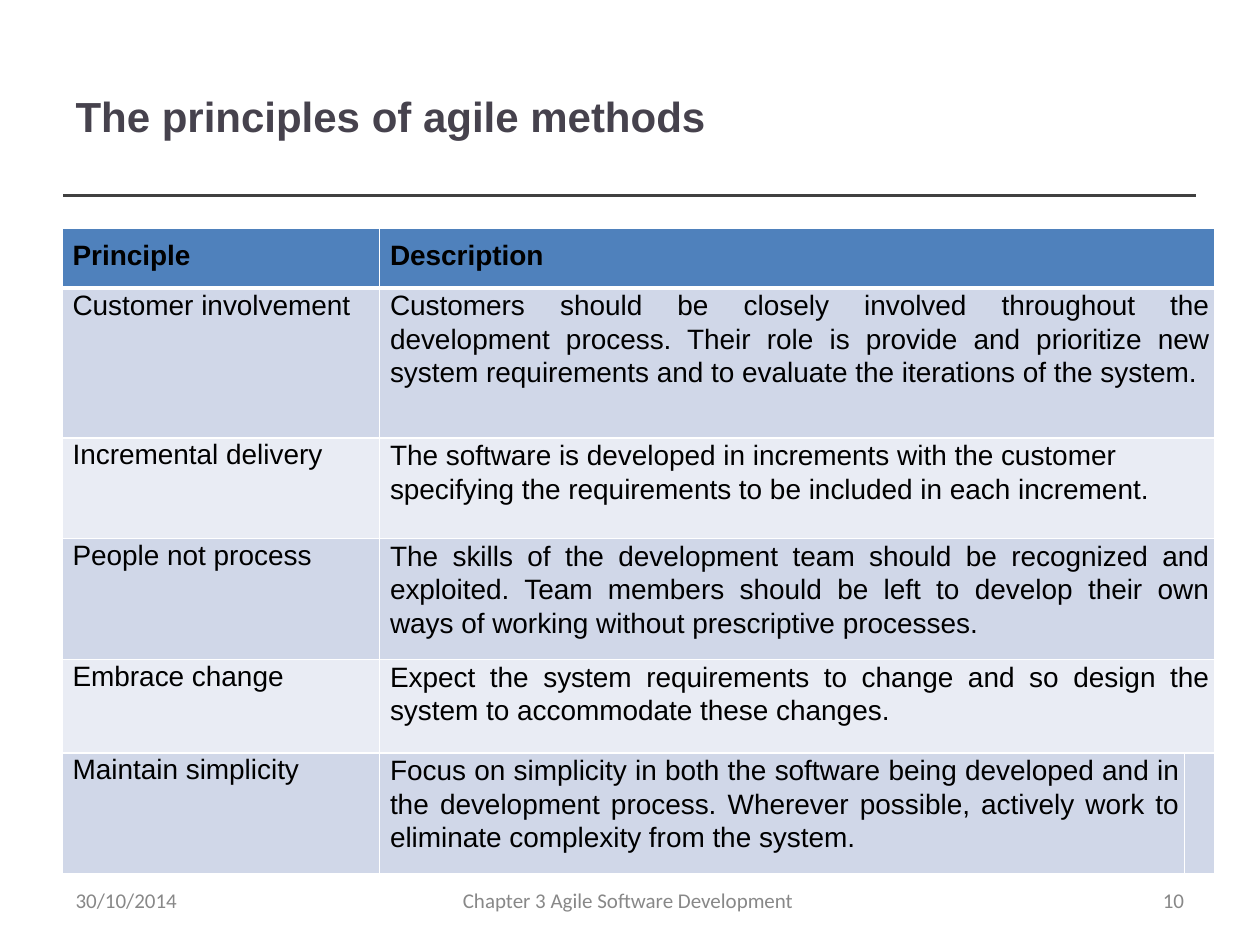
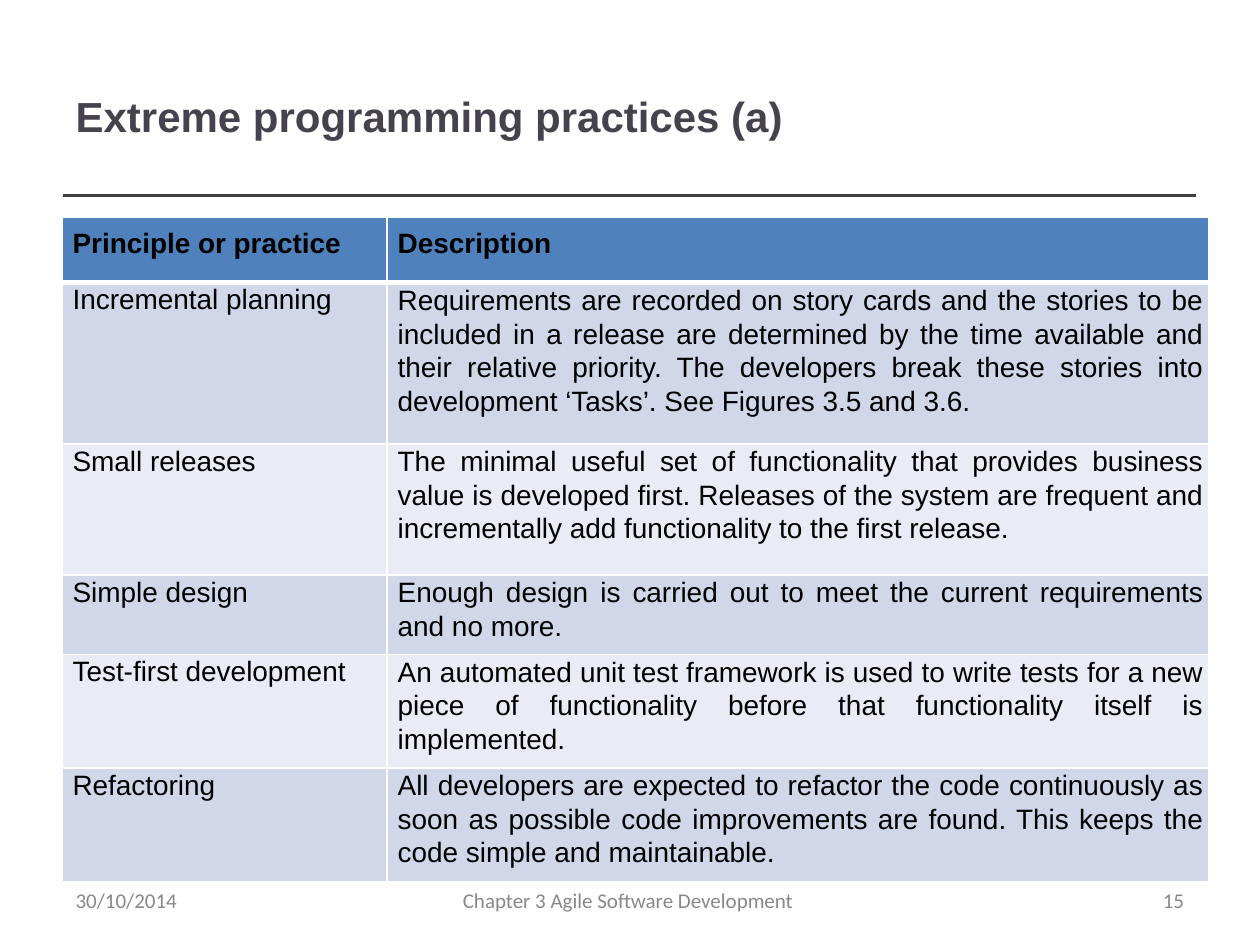
import pptx
import pptx.dml.color
import pptx.enum.shapes
import pptx.enum.text
import pptx.oxml.ns
import pptx.util
from lxml import etree

Pt = pptx.util.Pt
ALIGN = pptx.enum.text.PP_ALIGN

TITLE_COLOR = "46424D"
RULE_COLOR = "404040"
FOOTER_COLOR = "888888"
TEXT_COLOR = "000000"
BORDER_COLOR = "FFFFFF"
HEADER_FILL = "4F81BC"
BAND_FILLS = ["E9ECF4", "D0D7E8"]

TABLE_LEFT = 35.5
INDENT = 6
LEFT_ALIGNED = {"Incremental delivery"}

SLIDES = [
    {
        "title": "The principles of agile methods",
        "number": "10",
        "top": 130.7,
        "columns": [181.4, 460.1, 10.1],
        "heights": [33.8, 85.7, 57.6, 69.1, 53.3, 69.1],
        "rows": [
            ("Principle", "Description"),
            ("Customer involvement",
             "Customers should be closely involved throughout the development process. "
             "Their role is provide and prioritize new system requirements and to "
             "evaluate the iterations of the system."),
            ("Incremental delivery",
             "The software is developed in increments with the customer specifying "
             "the requirements to be included in each increment."),
            ("People not process",
             "The skills of the development team should be recognized and exploited. "
             "Team members should be left to develop their own ways of working "
             "without prescriptive processes."),
            ("Embrace change",
             "Expect the system requirements to change and so design the system to "
             "accommodate these changes."),
            ("Maintain simplicity",
             "Focus on simplicity in both the software being developed and in the "
             "development process. Wherever possible, actively work to eliminate "
             "complexity from the system."),
        ],
    },
    {
        "title": "Extreme programming practices (a)",
        "number": "15",
        "top": 124.2,
        "columns": [185.8, 469.4],
        "heights": [37.4, 92.2, 74.9, 45.4, 64.8, 64.8],
        "rows": [
            ("Principle or practice", "Description"),
            ("Incremental planning",
             "Requirements are recorded on story cards and the stories to be included "
             "in a release are determined by the time available and their relative "
             "priority. The developers break these stories into development ‘Tasks’. "
             "See Figures 3.5 and 3.6."),
            ("Small releases",
             "The minimal useful set of functionality that provides business value is "
             "developed first. Releases of the system are frequent and incrementally "
             "add functionality to the first release."),
            ("Simple design",
             "Enough design is carried out to meet the current requirements and no more."),
            ("Test-first development",
             "An automated unit test framework is used to write tests for a new piece "
             "of functionality before that functionality itself is implemented."),
            ("Refactoring",
             "All developers are expected to refactor the code continuously as soon as "
             "possible code improvements are found. This keeps the code simple and "
             "maintainable."),
        ],
    },
]


def rgb(value):
    return pptx.dml.color.RGBColor.from_string(value)


def write(frame, text, font, size, color, bold=False):
    """Fill a text frame with one styled paragraph and return the paragraph."""
    frame.word_wrap = True
    frame.margin_left = frame.margin_right = 0
    frame.margin_top = frame.margin_bottom = 0
    paragraph = frame.paragraphs[0]
    paragraph.text = text
    paragraph.font.name = font
    paragraph.font.size = Pt(size)
    paragraph.font.bold = bold
    paragraph.font.color.rgb = rgb(color)
    return paragraph


presentation = pptx.Presentation()
presentation.slide_width = Pt(720)
presentation.slide_height = Pt(540)

for content in SLIDES:
    slide = presentation.slides.add_slide(presentation.slide_layouts[6])

    # Double rule below the title
    for rule_end in (611.3, 683.3):
        rule = slide.shapes.add_connector(
            pptx.enum.shapes.MSO_CONNECTOR.STRAIGHT,
            Pt(36), Pt(111.6), Pt(rule_end), Pt(111.6))
        rule.line.color.rgb = rgb(RULE_COLOR)
        rule.line.width = Pt(2.04)
        etree.SubElement(rule._element.spPr, pptx.oxml.ns.qn("a:effectLst"))

    title = slide.shapes.add_textbox(Pt(43.2), Pt(52), Pt(600), Pt(31))
    write(title.text_frame, content["title"], "Arial", 24, TITLE_COLOR, True)

    footers = [
        ("30/10/2014", 43.2, 62, ALIGN.LEFT),
        ("Chapter 3 Agile Software Development", 264.5, 200, ALIGN.LEFT),
        (content["number"], 656.6, 20, ALIGN.RIGHT),
    ]
    for text, left, width, alignment in footers:
        footer = slide.shapes.add_textbox(Pt(left), Pt(509), Pt(width), Pt(14.4))
        paragraph = write(footer.text_frame, text, "Calibri", 12, FOOTER_COLOR)
        paragraph.alignment = alignment
        paragraph.line_spacing = Pt(12.4)

    columns, heights, rows = content["columns"], content["heights"], content["rows"]
    table = slide.shapes.add_table(
        len(rows), len(columns), Pt(TABLE_LEFT), Pt(content["top"]),
        Pt(sum(columns)), Pt(sum(heights))).table
    for column, width in zip(table.columns, columns):
        column.width = Pt(width)
    for row, height in zip(table.rows, heights):
        row.height = Pt(height)

    # The narrow last column stands alone only in the bottom row
    if len(columns) == 3:
        for row_index in range(len(rows) - 1):
            table.cell(row_index, 1).merge(table.cell(row_index, 2))

    for row_index, texts in enumerate(rows):
        is_header = row_index == 0
        for column_index in range(len(columns)):
            cell = table.cell(row_index, column_index)
            properties = cell._tc.get_or_add_tcPr()
            for side in ("L", "R", "T", "B"):
                thick = (side, row_index) in (("B", 0), ("T", 1))
                border = etree.SubElement(
                    properties, pptx.oxml.ns.qn(f"a:ln{side}"),
                    w=str(Pt(3 if thick else 1)))
                fill = etree.SubElement(border, pptx.oxml.ns.qn("a:solidFill"))
                etree.SubElement(fill, pptx.oxml.ns.qn("a:srgbClr"), val=BORDER_COLOR)
            cell.fill.solid()
            cell.fill.fore_color.rgb = rgb(HEADER_FILL if is_header else BAND_FILLS[row_index % 2])

            if column_index < len(texts):
                paragraph = write(cell.text_frame, texts[column_index],
                                  "Arial", 16, TEXT_COLOR, is_header)
                cell.margin_left = Pt(INDENT)
                cell.margin_right = Pt(3)
                cell.margin_top = Pt(6.5 if is_header else 0)
                cell.margin_bottom = 0
                if not is_header:
                    paragraph.line_spacing = Pt(19.2 if column_index else 18.9)
                    if column_index and texts[0] not in LEFT_ALIGNED:
                        paragraph.alignment = ALIGN.JUSTIFY

presentation.save("out.pptx")
